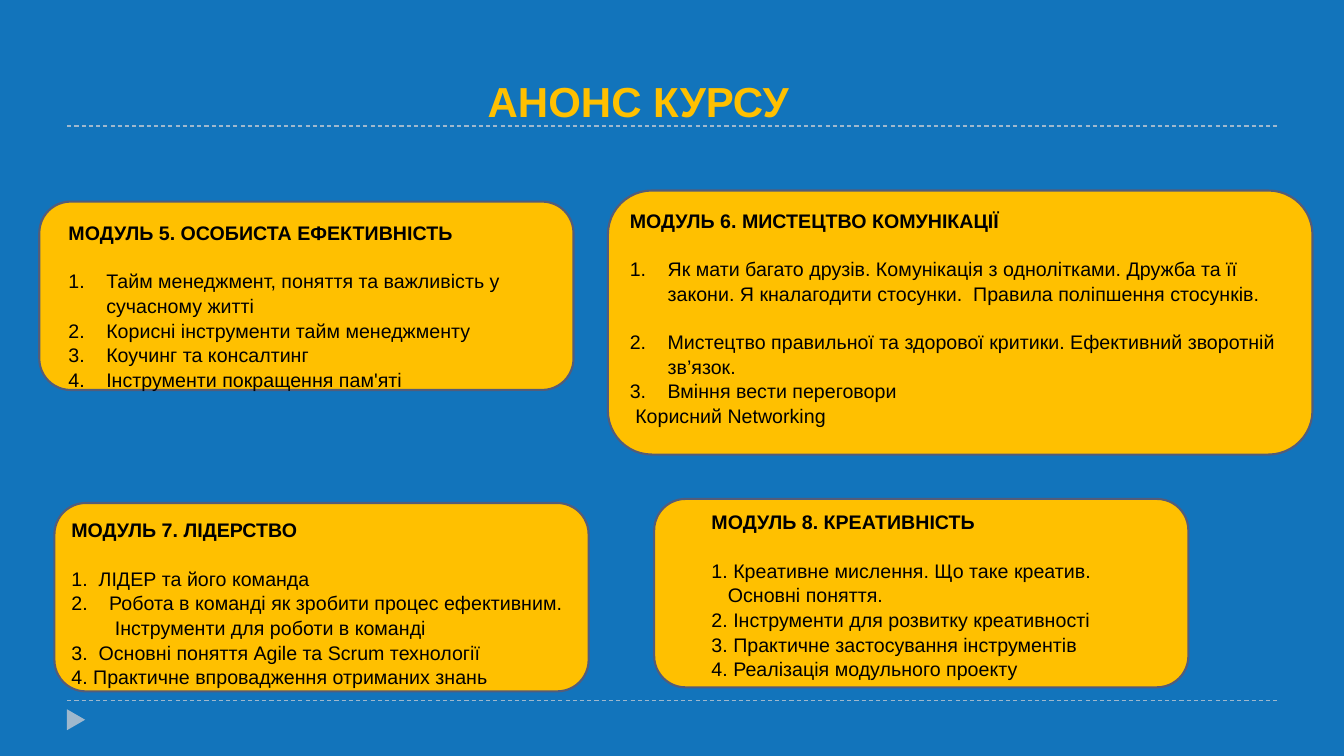
from lxml import etree
from pptx import Presentation
from pptx.dml.color import RGBColor
from pptx.enum.dml import MSO_LINE
from pptx.enum.shapes import MSO_CONNECTOR, MSO_SHAPE
from pptx.oxml.ns import qn
from pptx.util import Pt

STRAIGHT = MSO_CONNECTOR.STRAIGHT
ROUNDED = MSO_SHAPE.ROUNDED_RECTANGLE
TRIANGLE = MSO_SHAPE.ISOSCELES_TRIANGLE
DASH = MSO_LINE.DASH

COLORS = {
    "background": "1274BB",
    "rule": "9FB8CD",
    "card": "FFC000",
    "border": "545C79",
    "text": "000000",
}
C = {name: RGBColor.from_string(value) for name, value in COLORS.items()}
HANG = 27
GAP = 16.9  # one empty line of body text


def add_text(tf, text, size=14, color="text", bold=False, spacing=1.05,
             first=False, number=None, left=0, after=0):
    """Add a paragraph; a numbered one hangs its number in the left margin."""
    p = tf.paragraphs[0] if first else tf.add_paragraph()
    pPr = p._p.get_or_add_pPr()
    pPr.set("marL", str(Pt(left)))
    pPr.set("indent", str(Pt(-left if number else 0)))
    p.line_spacing = spacing
    p.space_before = Pt(0)
    p.space_after = Pt(after)
    if number:
        etree.SubElement(pPr, qn("a:buFont"), typeface="Arial")
        etree.SubElement(pPr, qn("a:buAutoNum"), type="arabicPeriod", startAt=str(number))
    else:
        etree.SubElement(pPr, qn("a:buNone"))
    r = p.add_run()
    r.text = text
    r.font.name = "Arial"
    r.font.size = Pt(size)
    r.font.bold = bold
    r.font.color.rgb = C[color]


prs = Presentation()
prs.slide_width, prs.slide_height = Pt(960), Pt(540)
s = prs.slides.add_slide(prs.slide_layouts[6])
s.background.fill.solid()
s.background.fill.fore_color.rgb = C["background"]

# Dashed rules above and below the content
for y in (500.4, 90):
    rule = s.shapes.add_connector(STRAIGHT, Pt(48), Pt(y), Pt(912), Pt(y))
    rule.line.color.rgb = C["rule"]
    rule.line.width = Pt(0.75)
    rule.line.dash_style = DASH
    etree.SubElement(rule._element.spPr, qn("a:effectLst"))

# Footer marker
marker = s.shapes.add_shape(TRIANGLE, Pt(46.8), Pt(507.6), Pt(15), Pt(13))
marker.rotation = 90
marker.shadow.inherit = False
marker.fill.solid()
marker.fill.fore_color.rgb = C["rule"]
marker.line.fill.background()

# Title
title = s.shapes.add_textbox(Pt(341.3), Pt(28.8), Pt(232), Pt(54.7))
title.text_frame.word_wrap = False
add_text(title.text_frame, "АНОНС КУРСУ", size=30, color="card", bold=True,
         spacing=1.6, first=True)

# Modules: card box, text box, heading, items (number, left indent, text, space after)
modules = [
    ((434.2, 136.1, 503.3, 188.6), (442.8, 144.7, 492.5, 211),
     "МОДУЛЬ 6. МИСТЕЦТВО КОМУНІКАЦІЇ", [
        (1, HANG, "Як мати багато друзів. Комунікація з однолітками. Дружба та її закони. "
                  "Я кналагодити стосунки.  Правила поліпшення стосунків.", GAP),
        (2, HANG, "Мистецтво правильної та здорової критики. Ефективний зворотній зв’язок.", 0),
        (3, HANG, "Вміння вести переговори", 0),
        (None, 3.9, "Корисний Networking", 0)]),
    ((467.3, 356.4, 381.6, 134.6), (501.1, 360, 287.3, 143.3),
     "МОДУЛЬ 8. КРЕАТИВНІСТЬ", [
        (1, 15.6, "Креативне мислення. Що таке креатив.", 0),
        (None, 11.7, "Основні поняття.", 0),
        (2, 15.6, "Інструменти для розвитку креативності", 0),
        (3, 15.6, "Практичне застосування інструментів", 0),
        (4, 15.6, "Реалізація модульного проекту", 0)]),
    ((38.9, 359.3, 381.6, 134.6), (43.9, 365.8, 372.2, 126),
     "МОДУЛЬ 7. ЛІДЕРСТВО", [
        (1, 19.5, "ЛІДЕР та його команда", 0),
        (2, HANG, "Робота в команді як зробити процес ефективним.", 0),
        (None, 31.1, "Інструменти для роботи в команді", 0),
        (3, 19.5, "Основні поняття Agile та Scrum технології", 0),
        (4, 15.6, "Практичне впровадження отриманих знань", 0)]),
    ((28.1, 144, 381.6, 134.6), (41.8, 153.4, 358.6, 143.3),
     "МОДУЛЬ 5. ОСОБИСТА ЕФЕКТИВНІСТЬ", [
        (1, HANG, "Тайм менеджмент, поняття та важливість у сучасному житті", 0),
        (2, HANG, "Корисні інструменти тайм менеджменту", 0),
        (3, HANG, "Коучинг та консалтинг", 0),
        (4, HANG, "Інструменти покращення пам'яті", 0)]),
]
for card_box, text_box, heading, items in modules:
    card = s.shapes.add_shape(ROUNDED, *map(Pt, card_box))
    card.shadow.inherit = False
    card.fill.solid()
    card.fill.fore_color.rgb = C["card"]
    card.line.color.rgb = C["border"]
    card.line.width = Pt(1.5)

    tf = s.shapes.add_textbox(*map(Pt, text_box)).text_frame
    tf.word_wrap = True
    add_text(tf, heading, bold=True, first=True, after=GAP)
    for number, left, text, after in items:
        add_text(tf, text, number=number, left=left, after=after)

prs.save("out.pptx")
